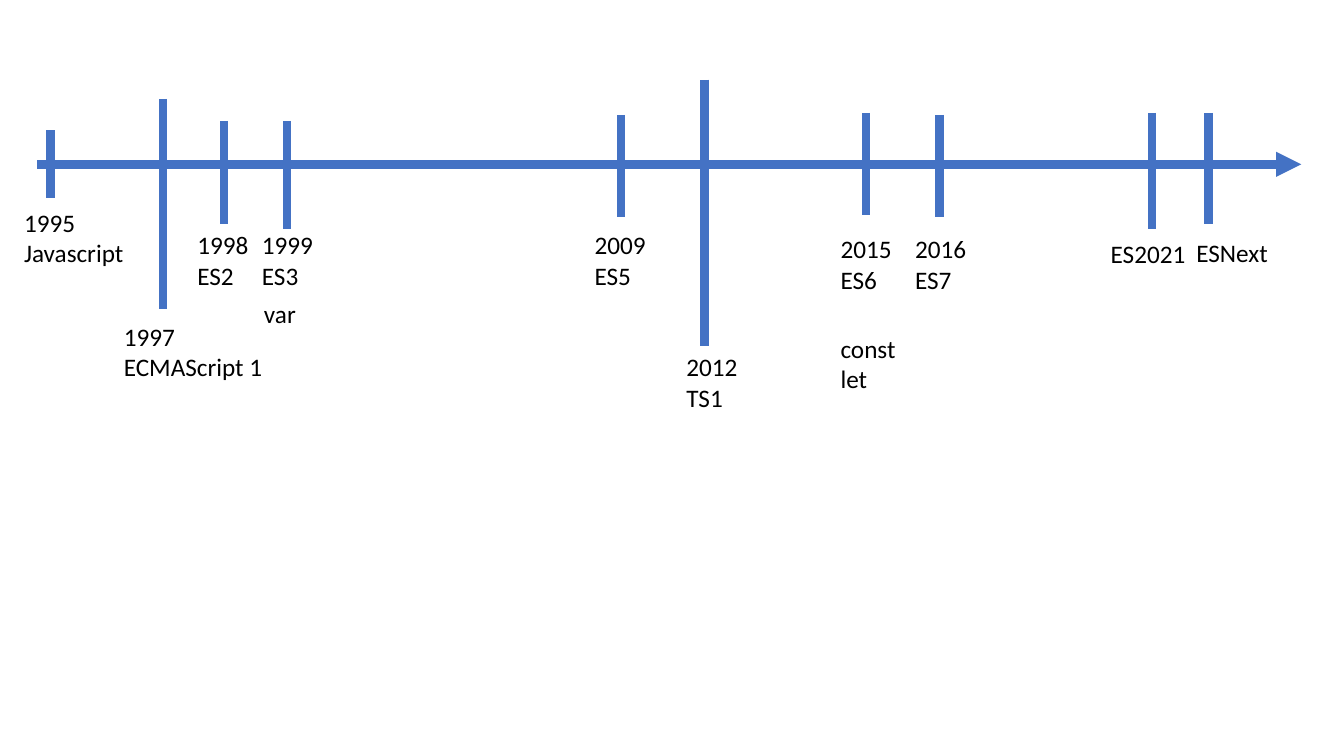
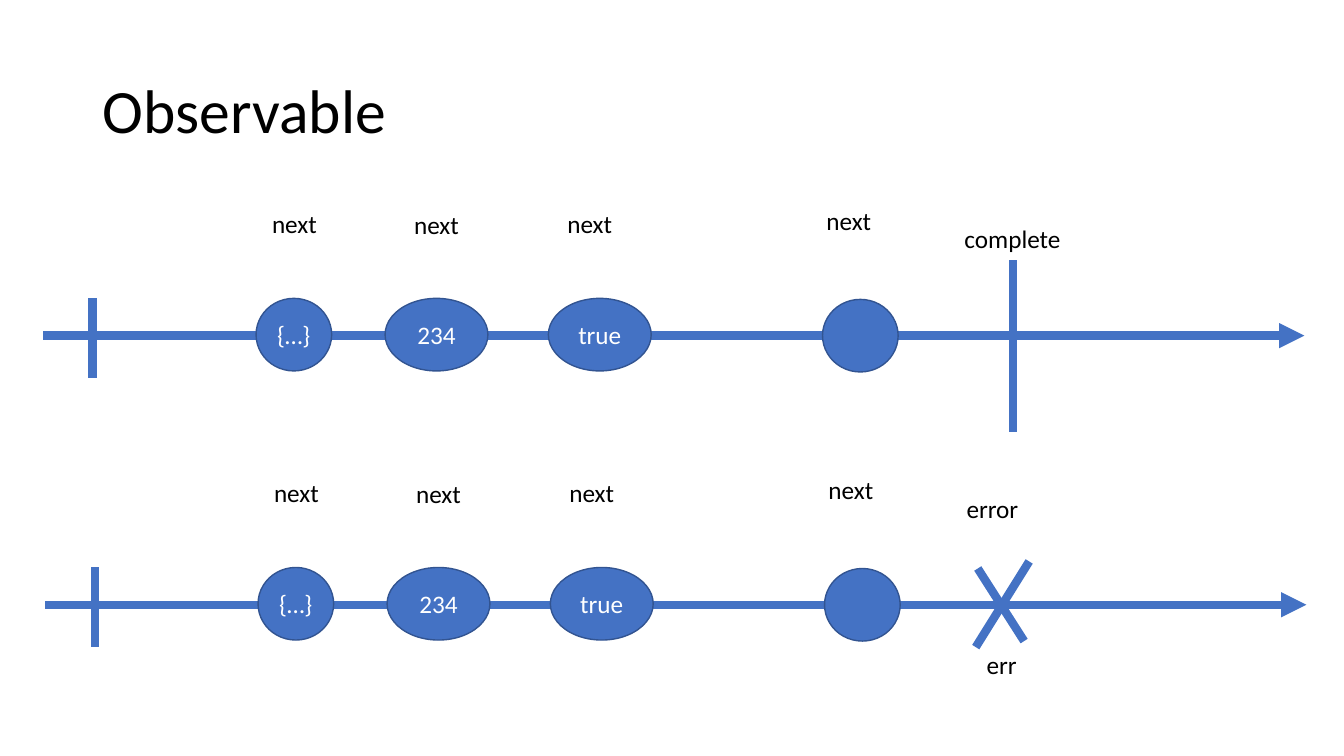
"""Build a language timeline and a pair of Observable streams."""
from lxml.etree import SubElement
from pptx import Presentation
from pptx.dml.color import RGBColor
from pptx.enum.shapes import MSO_CONNECTOR, MSO_SHAPE
from pptx.enum.text import MSO_ANCHOR, MSO_AUTO_SIZE, PP_ALIGN
from pptx.oxml.ns import qn
from pptx.util import Inches, Pt

BLUE = RGBColor(0x44, 0x72, 0xC4)
EDGE = RGBColor(0x32, 0x54, 0x91)
BLACK = RGBColor(0, 0, 0)
WHITE = RGBColor(255, 255, 255)
BODY = {"name": "Calibri", "size": Pt(18)}
HEAD = {"name": "Calibri", "size": Pt(44)}
LABEL = {"word_wrap": False, "auto_size": MSO_AUTO_SIZE.SHAPE_TO_FIT_TEXT}

deck = Presentation()
deck.slide_width, deck.slide_height = Inches(13.333), Inches(7.5)
COL = deck.slide_width / 133.33
ROW = deck.slide_height / 75


def rule(slide, x1, y1, x2, y2, arrow=False):
    line = slide.shapes.add_connector(
        MSO_CONNECTOR.STRAIGHT,
        round(x1 * COL), round(y1 * ROW), round(x2 * COL), round(y2 * ROW))
    line.line.width = Pt(6)
    line.line.color.rgb = BLUE
    if arrow:
        SubElement(line.line._get_or_add_ln(), qn("a:tailEnd"), type="triangle")
    SubElement(line._element.spPr, qn("a:effectLst"))


def style(frame, text, looks, color, align=PP_ALIGN.LEFT):
    frame.text = text
    for para in frame.paragraphs:
        para.alignment = align
        for run in para.runs:
            for key, value in looks.items():
                setattr(run.font, key, value)
            run.font.color.rgb = color


time = deck.slides.add_slide(deck.slide_layouts[6])
rule(time, 3.7, 16.3, 129.1, 16.3, True)

ticks = [
    (5, 12.9, 19.6), (16.2, 9.8, 30.7), (22.2, 12, 22.2), (28.5, 12, 22.7),
    (61.6, 11.4, 21.5), (69.9, 7.9, 34.3), (85.9, 11.2, 21.3),
    (93.2, 11.4, 21.5), (114.3, 11.2, 22.7), (119.9, 11.2, 22.2)]
for x, top, end in ticks:
    rule(time, x, top, x, end)

years = [
    ("1995\nJavascript", 1.4, 20.1, 12), ("1997\nECMAScript 1", 11.3, 31.4, 15.9),
    ("1998\nES2", 18.6, 22.3, 7.1), ("1999\nES3", 25, 22.3, 7.1),
    ("var", 25.2, 29.1, 5.2), ("2009\nES5", 58, 22.3, 7.1),
    ("2012\nTS1", 67.1, 34.4, 7.1), ("2015\nES6", 82.4, 22.7, 7.1),
    ("const\nlet", 82.4, 32.6, 7.5), ("2016\nES7", 89.8, 22.7, 7.1),
    ("ES2021", 109.2, 23.2, 9.5), ("ESNext", 117.7, 23.1, 9.2)]
labels = [(time, *year) for year in years]

flow = deck.slides.add_slide(deck.slide_layouts[5])
title = flow.shapes.title
place = {"left": 9.2 * COL, "top": 4 * ROW, "width": 115 * COL, "height": 14.5 * ROW}
for key, value in place.items():
    setattr(title, key, round(value))
style(title.text_frame, "Observable", HEAD, BLACK)
title.text_frame.vertical_anchor = MSO_ANCHOR.MIDDLE
title.text_frame.paragraphs[0].line_spacing = 0.9

events = [
    ("{…}", 25.4, 29.6, 7.5, 26, 20.2), ("234", 38.2, 29.6, 10.2, 40.1, 20.3),
    ("true", 54.4, 29.6, 10.2, 55.3, 20.2), ("", 81.6, 29.7, 7.5, 81, 19.9)]
for dx, dy in [(0, 0), (0.2, 26.7)]:
    rule(flow, 4.3 + dx, 33.3 + dy, 129.4 + dx, 33.3 + dy, True)
    rule(flow, 9.2 + dx, 29.6 + dy, 9.2 + dx, 37.5 + dy)
    for text, x, y, wide, left, top in events:
        ball = flow.shapes.add_shape(
            MSO_SHAPE.OVAL, round((x + dx) * COL), round((y + dy) * ROW),
            round(wide * COL), round(7.2 * ROW))
        ball.shadow.inherit = False
        ball.fill.solid()
        ball.fill.fore_color.rgb = BLUE
        ball.line.color.rgb = EDGE
        ball.line.width = Pt(1)
        ball.text_frame.vertical_anchor = MSO_ANCHOR.MIDDLE
        style(ball.text_frame, text, BODY, WHITE, PP_ALIGN.CENTER)
        labels.append((flow, "next", left + dx, top + dy, 6.5))

rule(flow, 100.5, 25.8, 100.5, 42.9)
rule(flow, 97, 56.4, 101.6, 63.6)
rule(flow, 102.1, 55.7, 96.8, 64.2)
labels += [
    (flow, "complete", 94.7, 21.7, 11.7), (flow, "error", 94.9, 48.4, 7.2),
    (flow, "err", 96.9, 63.9, 5)]

for slide, text, x, y, wide in labels:
    tall = 7.1 if "\n" in text else 4
    box = slide.shapes.add_textbox(
        round(x * COL), round(y * ROW), round(wide * COL), round(tall * ROW))
    for key, value in LABEL.items():
        setattr(box.text_frame, key, value)
    style(box.text_frame, text, BODY, BLACK)

deck.save("out.pptx")
